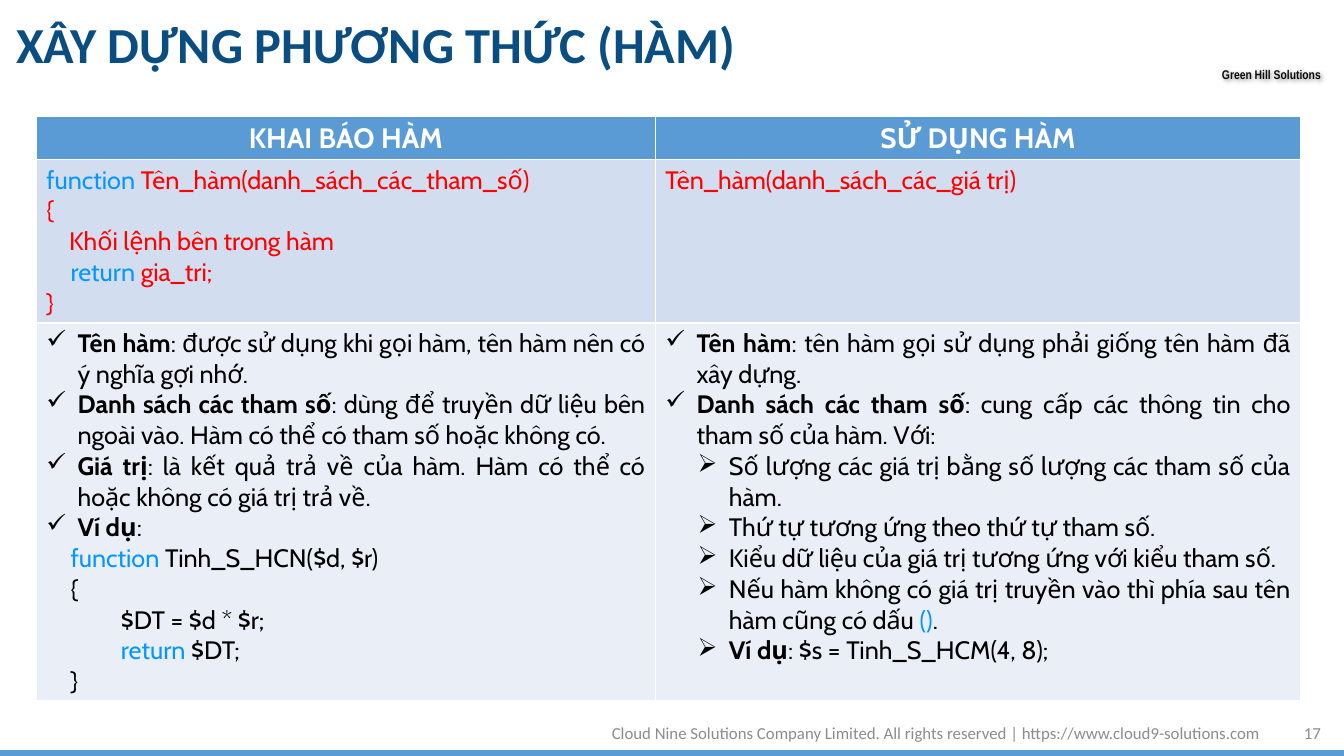
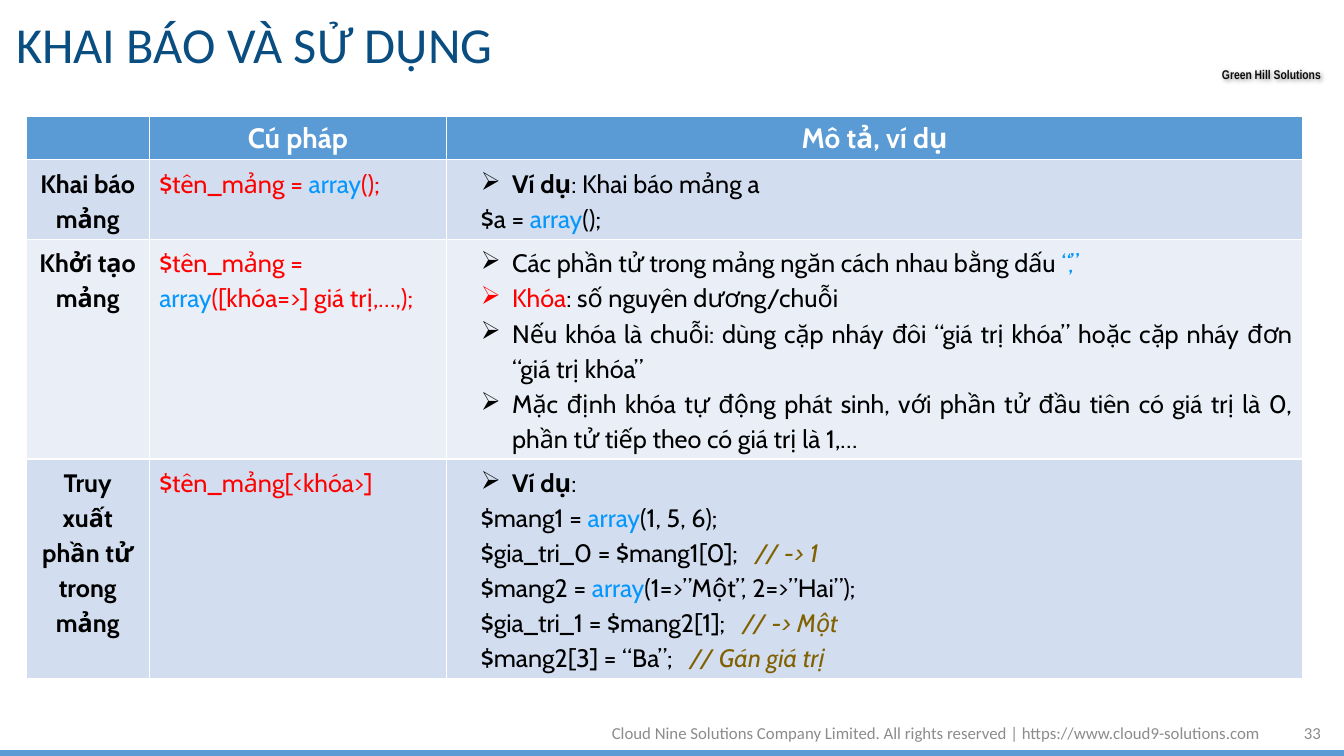
import pptx
import pptx.dml.color
import pptx.enum.shapes
import pptx.enum.text
import pptx.oxml
import pptx.oxml.ns
import pptx.util

Inches = pptx.util.Inches
Pt = pptx.util.Pt
RGBColor = pptx.dml.color.RGBColor
ALIGN = pptx.enum.text.PP_ALIGN
MIDDLE = pptx.enum.text.MSO_ANCHOR.MIDDLE

# Colours
BAND_BLUE = RGBColor(0x5B, 0x9B, 0xD5)
TITLE_BLUE = RGBColor(0x09, 0x4D, 0x81)
KEYWORD_BLUE = RGBColor(0x06, 0x97, 0xFD)
RED = RGBColor(0xFF, 0x00, 0x00)
BROWN = RGBColor(0x80, 0x60, 0x00)
BLACK = RGBColor(0x00, 0x00, 0x00)
WHITE = RGBColor(0xFF, 0xFF, 0xFF)
LABEL_BLACK = RGBColor(0x0D, 0x0D, 0x0D)
FOOTER_GREY = RGBColor(0x8C, 0x8C, 0x8C)
ROW_FILLS = [RGBColor(0xD2, 0xDE, 0xEF), RGBColor(0xEA, 0xEF, 0xF7)]

LABEL = "Green Hill Solutions"
FOOTER = ("Cloud Nine Solutions Company Limited. All rights reserved"
          " | https://www.cloud9-solutions.com")

# Run styles: colour, bold, italic
RUN_STYLES = {
    "plain": (BLACK, False, False),
    "bold": (BLACK, True, False),
    "keyword": (KEYWORD_BLUE, False, False),
    "syntax": (RED, False, False),
    "comment": (BROWN, False, True),
    "header": (WHITE, True, False),
}

# Paragraph styles: alignment, left margin, first-line indent, bullet
PARAGRAPH_STYLES = {
    "center": (ALIGN.CENTER, 0, 0, None),
    "left": (ALIGN.LEFT, 0, 0, None),
    "justify": (ALIGN.JUSTIFY, 0, 0, None),
    "code": (ALIGN.LEFT, 0.24, 0, None),
    "check": (ALIGN.JUSTIFY, 0.31, -0.31, "✓"),
    "arrow": (ALIGN.JUSTIFY, 0.55, -0.31, "➢"),
    "subarrow": (ALIGN.JUSTIFY, 0.63, -0.31, "➢"),
}

# Slide content: a cell lists paragraphs, a paragraph is its style and its runs,
# a run is plain text or (text, run style)
FUNCTION_ROWS = [
    [
        [("center", ("KHAI BÁO HÀM", "header"))],
        [("center", ("SỬ DỤNG HÀM", "header"))],
    ],
    [
        [
            ("justify", ("function ", "keyword"), ("Tên_hàm(danh_sách_các_tham_số)", "syntax")),
            ("justify", ("{", "syntax")),
            ("justify", ("    Khối lệnh bên trong hàm", "syntax")),
            ("code", ("return", "keyword"), (" gia_tri;", "syntax")),
            ("justify", ("}", "syntax")),
        ],
        [("justify", ("Tên_hàm(danh_sách_các_giá trị)", "syntax"))],
    ],
    [
        [
            ("check", ("Tên hàm", "bold"),
             ": được sử dụng khi gọi hàm, tên hàm nên có ý nghĩa gợi nhớ."),
            ("check", ("Danh sách các tham số", "bold"),
             ": dùng để truyền dữ liệu bên ngoài vào. Hàm có thể có tham số hoặc không có."),
            ("check", ("Giá trị", "bold"),
             ": là kết quả trả về của hàm. Hàm có thể có hoặc không có giá trị trả về."),
            ("check", ("Ví dụ", "bold"), ":"),
            ("code", ("function", "keyword"), " Tinh_S_HCN($d, $r)"),
            ("code", "{"),
            ("code", "\t$DT = $d * $r;"),
            ("code", "\t", ("return", "keyword"), " $DT;"),
            ("code", "}"),
        ],
        [
            ("check", ("Tên hàm", "bold"),
             ": tên hàm gọi sử dụng phải giống tên hàm đã xây dựng."),
            ("check", ("Danh sách các tham số", "bold"),
             ": cung cấp các thông tin cho tham số của hàm. Với:"),
            ("subarrow", "Số lượng các giá trị bằng số lượng các tham số của hàm."),
            ("subarrow", "Thứ tự tương ứng theo thứ tự tham số."),
            ("subarrow", "Kiểu dữ liệu của giá trị tương ứng với kiểu tham số."),
            ("subarrow", "Nếu hàm không có giá trị truyền vào thì phía sau tên hàm cũng có dấu ",
             ("()", "keyword"), "."),
            ("subarrow", ("Ví dụ", "bold"), ": $s = Tinh_S_HCM(4, 8);"),
        ],
    ],
]

ARRAY_ROWS = [
    [
        [],
        [("center", ("Cú pháp", "header"))],
        [("center", ("Mô tả, ví dụ", "header"))],
    ],
    [
        [("center", ("Khai báo mảng", "bold"))],
        [("justify", ("$tên_mảng = ", "syntax"), ("array", "keyword"), ("();", "syntax"))],
        [
            ("arrow", ("Ví dụ", "bold"), ": Khai báo mảng a"),
            ("code", "$a = ", ("array", "keyword"), "();"),
        ],
    ],
    [
        [("center", ("Khởi tạo mảng", "bold"))],
        [("left", ("$tên_mảng = ", "syntax"), ("array", "keyword"),
          ("([khóa=>] giá trị,…,);", "syntax"))],
        [
            ("arrow", "Các phần tử trong mảng ngăn cách nhau bằng dấu ", ("“,”", "keyword")),
            ("arrow", ("Khóa", "syntax"), ": số nguyên dương/chuỗi"),
            ("arrow", "Nếu khóa là chuỗi: dùng cặp nháy đôi “giá trị khóa” "
                      "hoặc cặp nháy đơn “giá trị khóa”"),
            ("arrow", "Mặc định khóa tự động phát sinh, với phần tử đầu tiên có giá trị là 0, "
                      "phần tử tiếp theo có giá trị là 1,…"),
        ],
    ],
    [
        [("center", ("Truy xuất phần tử trong mảng", "bold"))],
        [("justify", ("$tên_mảng[<khóa>]", "syntax"))],
        [
            ("arrow", ("Ví dụ", "bold"), ":"),
            ("code", "$mang1 = ", ("array", "keyword"), "(1, 5, 6);"),
            ("code", "$gia_tri_0 = $mang1[0];   ", ("// -> 1", "comment")),
            ("code", "$mang2 = ", ("array", "keyword"), "(1=>”Một”, 2=>”Hai”);"),
            ("code", "$gia_tri_1 = $mang2[1];   ", ("// -> Một", "comment")),
            ("code", "$mang2[3] = “Ba”;   ", ("// Gán giá trị", "comment")),
        ],
    ],
]

# Title, bold title, number, table left, column widths, row heights, line spacing, rows
SLIDES = [
    ("XÂY DỰNG PHƯƠNG THỨC (HÀM)", True, "17", 0.36, [6.14, 6.4],
     [0.43, 1.62, 3.75], 1.0, FUNCTION_ROWS),
    ("KHAI BÁO VÀ SỬ DỤNG", False, "33", 0.26, [1.22, 2.95, 8.49],
     [0.43, 0.79, 2.18, 2.18], 1.14, ARRAY_ROWS),
]


def add_line_of_text(page, text, left, top, width, height, font_name, size, color):
    box = page.shapes.add_textbox(Inches(left), Inches(top), Inches(width), Inches(height))
    box.text_frame.text = text
    font = box.text_frame.paragraphs[0].runs[0].font
    font.name, font.size, font.color.rgb = font_name, Pt(size), color
    return box


def fill_cell(cell, paragraphs, size, line_spacing):
    for index, (style, *runs) in enumerate(paragraphs):
        frame = cell.text_frame
        para = frame.paragraphs[0] if index == 0 else frame.add_paragraph()
        alignment, margin, indent, bullet = PARAGRAPH_STYLES[style]
        properties = para._p.get_or_add_pPr()
        properties.set("marL", str(Inches(margin)))
        properties.set("indent", str(Inches(indent)))
        if bullet:
            mark = pptx.oxml.parse_xml(
                f'<a:buChar {pptx.oxml.ns.nsdecls("a")} char="{bullet}"/>')
            properties.append(mark)
        para.alignment = alignment
        para.line_spacing = line_spacing
        for run in runs:
            text, run_style = (run, "plain") if isinstance(run, str) else run
            span = para.add_run()
            span.text = text
            span.font.name, span.font.size = "Cabin", Pt(size)
            span.font.color.rgb, span.font.bold, span.font.italic = RUN_STYLES[run_style]


deck = pptx.Presentation()
deck.slide_width = Inches(13.33)
deck.slide_height = Inches(7.5)

for title, bold, number, left, widths, heights, line_spacing, rows in SLIDES:
    page = deck.slides.add_slide(deck.slide_layouts[5])

    # Bottom band
    band = page.shapes.add_shape(pptx.enum.shapes.MSO_SHAPE.RECTANGLE,
                                 0, Inches(7.45), deck.slide_width, Inches(0.05))
    band.shadow.inherit = False
    band.fill.solid()
    band.fill.fore_color.rgb = BAND_BLUE
    band.line.color.rgb = BAND_BLUE
    band.line.width = Pt(1.25)

    # Company label with a soft shadow
    label = add_line_of_text(page, LABEL, 12.12, 0.66, 1.04, 0.15,
                             "Arial Narrow", 9, LABEL_BLACK)
    frame = label.text_frame
    frame.margin_left = frame.margin_top = frame.margin_right = frame.margin_bottom = 0
    frame.word_wrap = False
    frame.paragraphs[0].runs[0].font.bold = True
    label._element.spPr.append(pptx.oxml.parse_xml(
        f'<a:effectLst {pptx.oxml.ns.nsdecls("a")}>'
        '<a:outerShdw blurRad="38100" dist="19050" dir="2700000">'
        '<a:srgbClr val="000000"><a:alpha val="40000"/></a:srgbClr>'
        '</a:outerShdw></a:effectLst>'))

    # Title
    heading = page.shapes.title
    heading.left, heading.top = Inches(0.06), Inches(0.07)
    heading.width, heading.height = Inches(11.83), Inches(0.8)
    heading.text_frame.text = title
    heading.text_frame.vertical_anchor = MIDDLE
    para = heading.text_frame.paragraphs[0]
    para.alignment = ALIGN.LEFT
    para.line_spacing = 0.9
    font = para.runs[0].font
    font.name, font.size, font.bold = "Calibri", Pt(36), bold
    font.color.rgb = TITLE_BLUE

    # Footer and slide number
    for text, text_left, width in [(number, 12.67, 0.53), (FOOTER, 4.72, 7.88)]:
        box = add_line_of_text(page, text, text_left, 7.07, width, 0.4,
                               "Calibri", 12, FOOTER_GREY)
        box.text_frame.word_wrap = True
        box.text_frame.vertical_anchor = MIDDLE
        box.text_frame.paragraphs[0].alignment = ALIGN.RIGHT

    # Table
    table = page.shapes.add_table(len(rows), len(widths), Inches(left), Inches(1.15),
                                  Inches(sum(widths)), Inches(sum(heights))).table
    for column, width in zip(table.columns, widths):
        column.width = Inches(width)
    for row_index, row in enumerate(rows):
        table.rows[row_index].height = Inches(heights[row_index])
        is_header = row_index == 0
        for column_index, paragraphs in enumerate(row):
            cell = table.cell(row_index, column_index)
            cell.fill.solid()
            cell.fill.fore_color.rgb = BAND_BLUE if is_header else ROW_FILLS[(row_index - 1) % 2]
            fill_cell(cell, paragraphs, 20 if is_header else 18,
                      1.0 if is_header else line_spacing)

deck.save("out.pptx")
